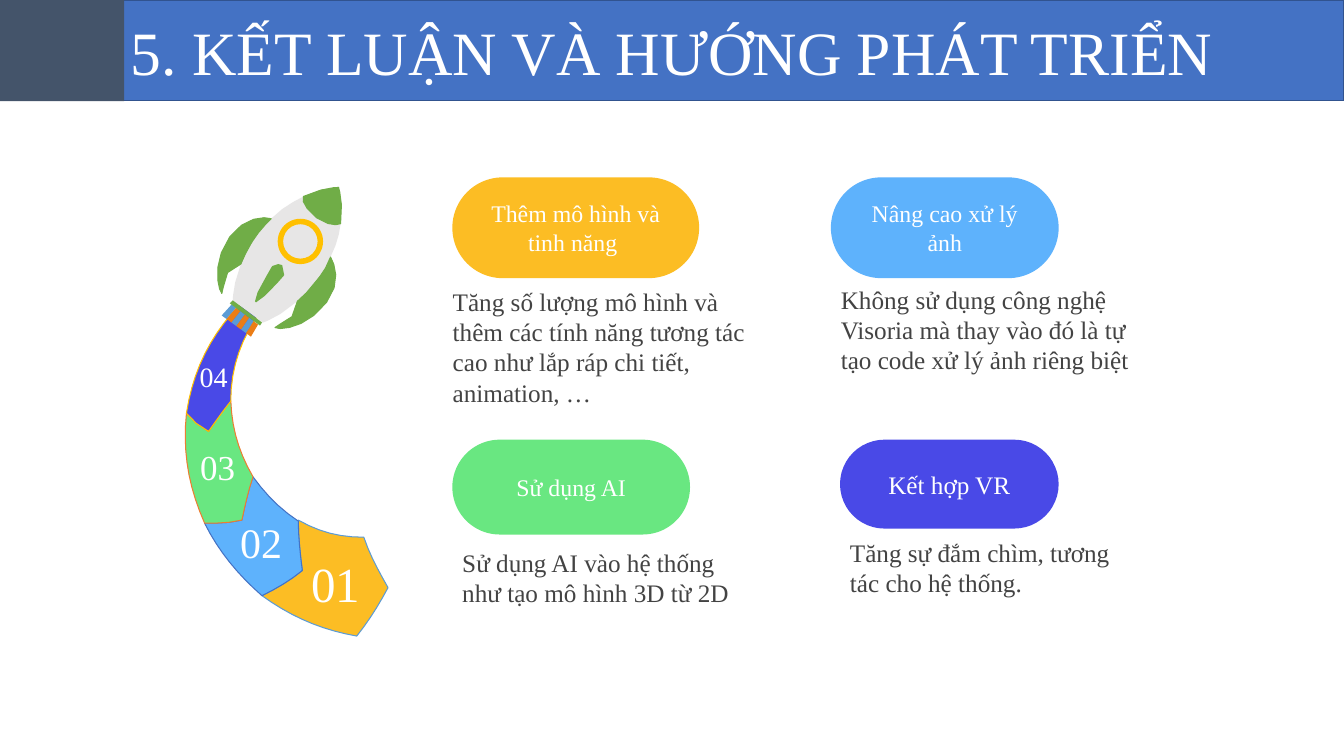
import math

import pptx
import pptx.dml.color
import pptx.enum.shapes
import pptx.enum.text
import pptx.util

Cm = pptx.util.Cm
Pt = pptx.util.Pt
PRESET = pptx.enum.shapes.MSO_SHAPE
ALIGN = pptx.enum.text.PP_ALIGN
ANCHOR = pptx.enum.text.MSO_ANCHOR
FONT = "Times New Roman"
GRID = Cm(0.0254)  # unit of the outline coordinates
CHORD = 12  # grid units spanned by one straight piece of a curve

COLORS = {
    "band": "4472C4", "band_edge": "31538F", "corner": "44546A",
    "white": "FFFFFF", "body": "434343",
    "amber": "FCBD24", "sky": "5EB2FC", "mint": "69E781", "indigo": "4949E7",
    "steel": "5B9BD5", "rust": "ED7D31", "gold": "FFC000",
    "hull": "E7E6E6", "fin": "70AD47", "flame": "EB7D16",
}

# Outlines: parts split by "|"; one point is a line, three points a Bézier curve
# Arc steps: number, size, fill, edge, number position, outline
ARC_STEPS = [
    ("01", 35, "amber", "steel", (196, 352),
     "196,316|196,333 198,350 200,366|188,376 174,384 160,391|189,412 219,425 254,431"
     "|266,416 276,400 285,383|276,367 267,351 261,333|237,333 217,328 196,316"),
    ("02", 30, "sky", "band", (122, 311),
     "151,273|146,287 143,302 140,316|131,318 123,319 114,319|103,319"
     "|117,347 136,370 160,391|174,384 188,376 200,366|198,350 196,333 196,317"
     "|178,305 164,291 151,273"),
    ("03", 25, "mint", "rust", (79, 236),
     "129,198|121,207 114,218 107,228|99,224 90,217 85,210|81,248 87,283 103,319"
     "|114,319|123,319 131,318 140,316|143,302 146,288 151,273|137,249 130,225 129,198"),
    ("04", 20, "indigo", "gold", (75, 147),
     "157,85|117,118 93,158 85,210|90,217 99,224 107,228|114,218 121,208 129,198"
     "|129,159 143,127 168,97|164,92 161,90 157,85"),
]

HULL = ("101,95|91,100 80,106 69,117|67,119 65,120 64,122|58,128 54,134 50,140"
        "|45,148 42,155 39,162|31,182 31,198 31,198|61,220|61,220 77,215 95,199"
        "|101,194 107,188 112,181|116,177 119,172 123,166|125,162 127,159 128,155"
        "|134,143 137,132 138,122|138,122 136,123 133,123|129,123 123,122 115,116"
        "|106,109 102,104 101,100|100,97 101,95 101,95")
COLLAR = "31,198|28,201|58,223|60,220"
CENTRE_FIN = ("76,162|74,162 72,163 70,164|68,168 50,197 53,199|54,200"
              "|58,200 80,176 82,173|84,170 83,165 80,163|79,162 78,162 76,162")
EDGED_PARTS = [
    # right fin, outer and inner
    "128,155|127,159 125,162 123,166|119,172 116,177 112,181|112,182"
    "|112,182 111,216 73,225|74,225 75,226 78,226|88,226 108,221 124,200"
    "|139,180 132,162 128,155",
    "112,181|107,188 101,194 95,199|98,219 69,223 73,225|111,216 112,182 112,182",
    # nose, shaded side and tip
    "136,86|136,86 130,103 114,103|111,103 106,102 101,100|102,104 106,109 114,116"
    "|123,122 129,123 133,123|136,123 138,122 138,122|141,101 136,86 136,86",
    "136,86|135,86 120,86 101,95|101,95 100,97 101,100|106,102 111,103 114,103"
    "|130,103 136,86 136,86",
    # left fin, inner and outer
    "50,140|50,140 17,151 20,191|23,191 19,164 39,162|42,155 45,148 50,140",
    "62,116|53,116 39,120 28,135|9,162 17,188 20,191|17,151 50,140 50,140"
    "|54,134 58,128 64,122|65,120 67,119 69,117|67,117 65,116 62,116",
]

# Cards: pill box in cm, fill, heading, size, body shift, body gap, body width, body
CARDS = [
    ((11.4, 4.47, 6.22, 2.54), "amber", "Thêm mô hình và tinh năng ", 17, -0.24, -0.05, 8.2,
     "Tăng số lượng mô hình và thêm các tính năng tương tác cao như lắp ráp "
     "chi tiết, animation, …"),
    ((20.94, 4.47, 5.74, 2.54), "sky", "Nâng cao xử lý ảnh", 17, 0, -0.1, 7.85,
     "Không sử dụng công nghệ Visoria mà thay vào đó là tự tạo code xử lý ảnh riêng biệt"),
    ((21.17, 11.08, 5.51, 2.24), "indigo", "Kết hợp VR", 18, 0, -0.04, 7.85,
     "Tăng sự đắm chìm, tương tác cho hệ thống."),
    ((11.4, 11.08, 5.99, 2.39), "mint", "Sử dụng AI", 17, 0, 0.07, 7.85,
     "Sử dụng AI vào hệ thống như tạo mô hình 3D từ 2D"),
]


def rgb(name):
    return pptx.dml.color.RGBColor.from_string(COLORS[name])


def paint(shape, fill, edge=None, width=0.75):
    shape.fill.solid()
    shape.fill.fore_color.rgb = rgb(fill)
    if edge:
        shape.line.color.rgb = rgb(edge)
        shape.line.width = Pt(width)
    else:
        shape.line.fill.background()


def write(shape, words, size, color="white", align=ALIGN.CENTER,
          anchor=ANCHOR.MIDDLE, inset=0.25):
    frame = shape.text_frame
    frame.text = words
    frame_format = {
        "word_wrap": True, "auto_size": pptx.enum.text.MSO_AUTO_SIZE.NONE,
        "vertical_anchor": anchor, "margin_left": Cm(0.25), "margin_right": Cm(0.25),
        "margin_top": Cm(inset), "margin_bottom": Cm(inset),
    }
    for key, value in frame_format.items():
        setattr(frame, key, value)
    paragraph = frame.paragraphs[0]
    paragraph.alignment = align
    font = paragraph.runs[0].font
    for key, value in {"name": FONT, "size": Pt(size), "bold": False}.items():
        setattr(font, key, value)
    font.color.rgb = rgb(color)


def trace(outline):
    """Turn an outline string into points, with its curves sampled by length."""
    points = []
    for part in outline.split("|"):
        knots = [tuple(float(n) for n in pair.split(",")) for pair in part.split()]
        if len(knots) == 1:
            points += knots
            continue
        a, (b, c, d) = points[-1], knots
        steps = max(1, round(math.dist(a, d) / CHORD))
        for step in range(1, steps + 1):
            t = step / steps
            u = 1 - t
            points.append(tuple(u**3 * a[i] + 3 * u * u * t * b[i]
                                + 3 * u * t * t * c[i] + t**3 * d[i] for i in (0, 1)))
    return points


def draw_outline(shapes, left, top, points, fill, edge=None):
    scaled = [(x * GRID, y * GRID) for x, y in points]
    builder = shapes.build_freeform(*scaled[0], scale=1.0)
    builder.add_line_segments(scaled[1:], close=True)
    piece = builder.convert_to_shape(left, top)
    piece.shadow.inherit = False
    paint(piece, fill, edge)


def add_title_band(slide, left, top, width, height):
    title = slide.shapes.title
    box = {"left": left, "top": top, "width": width, "height": height}
    for key, value in box.items():
        setattr(title, key, value)
    paint(title, "band", "band_edge", 1)
    write(title, "5. KẾT LUẬN VÀ HƯỚNG PHÁT TRIỂN", 44, inset=0.13)


def add_arc(slide, left, top):
    for number, size, fill, edge, (x, y), outline in ARC_STEPS:
        step = slide.shapes.add_group_shape().shapes
        draw_outline(step, left, top, trace(outline), fill, edge)
        label = step.add_textbox(left + x * GRID, top + y * GRID, Cm(1.88), Cm(1.35))
        write(label, number, size)


def add_card(slide, left, top, width, height, fill, heading, size, shift, gap, body_width, body):
    card = slide.shapes.add_group_shape().shapes
    detail = card.add_textbox(left + Cm(shift), top + height + Cm(gap),
                              Cm(body_width), Cm(2.74))
    write(detail, body, 18, "body", ALIGN.LEFT, ANCHOR.TOP)
    pill = card.add_shape(PRESET.ROUNDED_RECTANGLE, left, top, width, height)
    pill.adjustments[0] = 0.5
    pill.shadow.inherit = False
    paint(pill, fill)
    write(pill, heading, size)


def add_rocket(slide, left, top):
    rocket = slide.shapes.add_group_shape().shapes
    draw_outline(rocket, left, top, trace(HULL), "hull")
    # Six equal nozzle stripes between the slanted upper and lower edges
    upper = [(30 + 26 * i / 6, 202 + 20 * i / 6) for i in range(7)]
    lower = [(20 + 29 * i / 6, 213 + 21 * i / 6) for i in range(7)]
    for i in range(6):
        stripe = [upper[i], lower[i], lower[i + 1], upper[i + 1]]
        draw_outline(rocket, left, top, stripe, ("steel", "flame")[i % 2])
    # Window ring
    window = rocket.add_shape(PRESET.DONUT, left + 75.5 * GRID, top + 117 * GRID,
                              45 * GRID, 45 * GRID)
    window.adjustments[0] = 0.12
    window.shadow.inherit = False
    paint(window, "gold")
    # Fins, collar and nose
    for outline in (COLLAR, CENTRE_FIN):
        draw_outline(rocket, left, top, trace(outline), "fin")
    for outline in EDGED_PARTS:
        draw_outline(rocket, left, top, trace(outline), "fin", "fin")


def add_corner(slide, left, top, width, height):
    corner = slide.shapes.add_shape(PRESET.RECTANGLE, left, top, width, height)
    corner.shadow.inherit = False
    paint(corner, "corner")


def main():
    deck = pptx.Presentation()
    deck.slide_width, deck.slide_height = Cm(33.87), Cm(19.05)
    slide = deck.slides.add_slide(deck.slide_layouts[5])
    add_title_band(slide, 0, 0, deck.slide_width, Cm(2.54))
    add_arc(slide, Cm(2.54), Cm(5.08))
    for box, *content in CARDS:
        add_card(slide, *map(Cm, box), *content)
    add_rocket(slide, Cm(5.08), Cm(2.54))
    add_corner(slide, 0, Cm(-0.08), Cm(3.13), Cm(2.63))
    deck.save("out.pptx")


if __name__ == "__main__":
    main()
